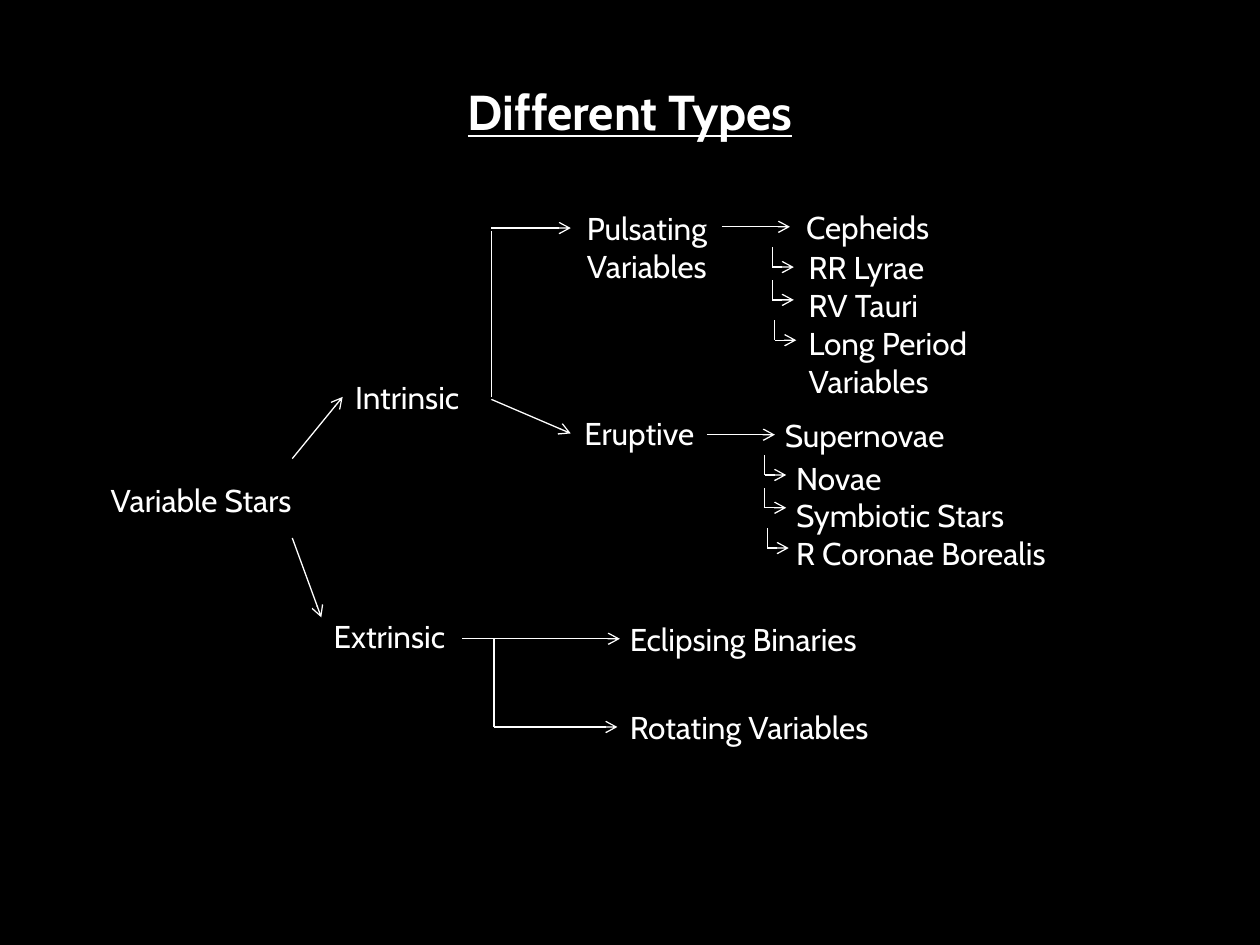
from lxml import etree
from pptx import Presentation
from pptx.dml.color import RGBColor
from pptx.enum.shapes import MSO_CONNECTOR
from pptx.enum.text import MSO_AUTO_SIZE, PP_ALIGN
from pptx.oxml.ns import qn
from pptx.util import Inches, Pt

STRAIGHT = MSO_CONNECTOR.STRAIGHT
GROW = MSO_AUTO_SIZE.SHAPE_TO_FIT_TEXT
LEFT, CENTER = PP_ALIGN.LEFT, PP_ALIGN.CENTER
COLORS = {"back": "000000", "ink": "FFFFFF"}
INK = RGBColor.from_string(COLORS["ink"])
BODY = {"name": "Cabin", "size": Pt(18)}
TITLE = {"name": "Cabin", "size": Pt(28), "bold": True, "underline": True}

deck = Presentation()
deck.slide_width, deck.slide_height = Inches(10), Inches(7.5)
slide = deck.slides.add_slide(deck.slide_layouts[6])
slide.background.fill.solid()
slide.background.fill.fore_color.rgb = RGBColor.from_string(COLORS["back"])


def add_text(text, x, y, wide, high=0.4, style=BODY, align=LEFT):
    box = slide.shapes.add_textbox(Inches(x), Inches(y), Inches(wide), Inches(high))
    frame = box.text_frame
    frame.word_wrap = True
    frame.auto_size = GROW
    para = frame.paragraphs[0]
    para.alignment = align
    run = para.add_run()
    run.text = text
    for key, value in style.items():
        setattr(run.font, key, value)
    run.font.color.rgb = INK


def add_line(x1, y1, x2, y2, arrow=True):
    line = slide.shapes.add_connector(
        STRAIGHT, Inches(x1), Inches(y1), Inches(x2), Inches(y2))
    line.line.color.rgb = INK
    line.line.width = Pt(0.75)
    if arrow:
        etree.SubElement(line.line._get_or_add_ln(), qn("a:tailEnd"), type="arrow")
    etree.SubElement(line._element.spPr, qn("a:effectLst"))


# Title
add_text("Different Types", 0, 0.6, 10, 0.57, TITLE, CENTER)

# Classes and families
for label in [
    ("Variable Stars", 0.78, 3.77, 1.65),
    ("Intrinsic", 2.72, 2.95, 1.18),
    ("Extrinsic", 2.55, 4.85, 1.18),
    ("Pulsating Variables", 4.56, 1.61, 1.37, 0.71),
    ("Eruptive", 4.54, 3.24, 1.18),
    ("Eclipsing Binaries", 4.9, 4.87, 2),
    ("Rotating Variables", 4.9, 5.57, 2.15),
    ("Cepheids", 6.3, 1.6, 2),
    ("Supernovae", 6.13, 3.25, 1.55),
]:
    add_text(*label)

# Branch arrows
for ends in [
    (2.32, 3.64, 2.72, 3.15),
    (2.32, 4.27, 2.55, 4.9),
    (3.9, 1.81, 4.53, 1.81),
    (3.9, 3.17, 4.53, 3.44),
    (3.67, 5.07, 4.92, 5.07),
    (3.92, 5.77, 4.9, 5.77),
    (5.73, 1.8, 6.27, 1.8),
    (5.61, 3.45, 6.15, 3.45),
]:
    add_line(*ends)

# Upright stems
add_line(3.9, 3.15, 3.9, 1.83, arrow=False)
add_line(3.92, 5.77, 3.92, 5.07, arrow=False)

# Further members, each with an elbow arrow
STEP = 0.3
ELBOWS = [(0, 0), (0, 0.26), (0.02, 0.58)]
for names, left, top, stem, base in [
    ([("RR Lyrae", 2, 0.4), ("RV Tauri", 2, 0.4),
      ("Long Period Variables", 2, 0.71)], 6.32, 1.92, 6.13, 2.12),
    ([("Novae", 2, 0.4), ("Symbiotic Stars", 2, 0.4),
      ("R Coronae Borealis", 2.25, 0.4)], 6.22, 3.59, 6.07, 3.77),
]:
    for row, ((name, wide, high), (dx, dy)) in enumerate(zip(names, ELBOWS)):
        add_text(name, left, top + row * STEP, wide, high)
        x, y = stem + dx, base + dy
        add_line(x, y, x, y - 0.16, arrow=False)
        add_line(x, y, x + 0.17, y)

deck.save("out.pptx")
